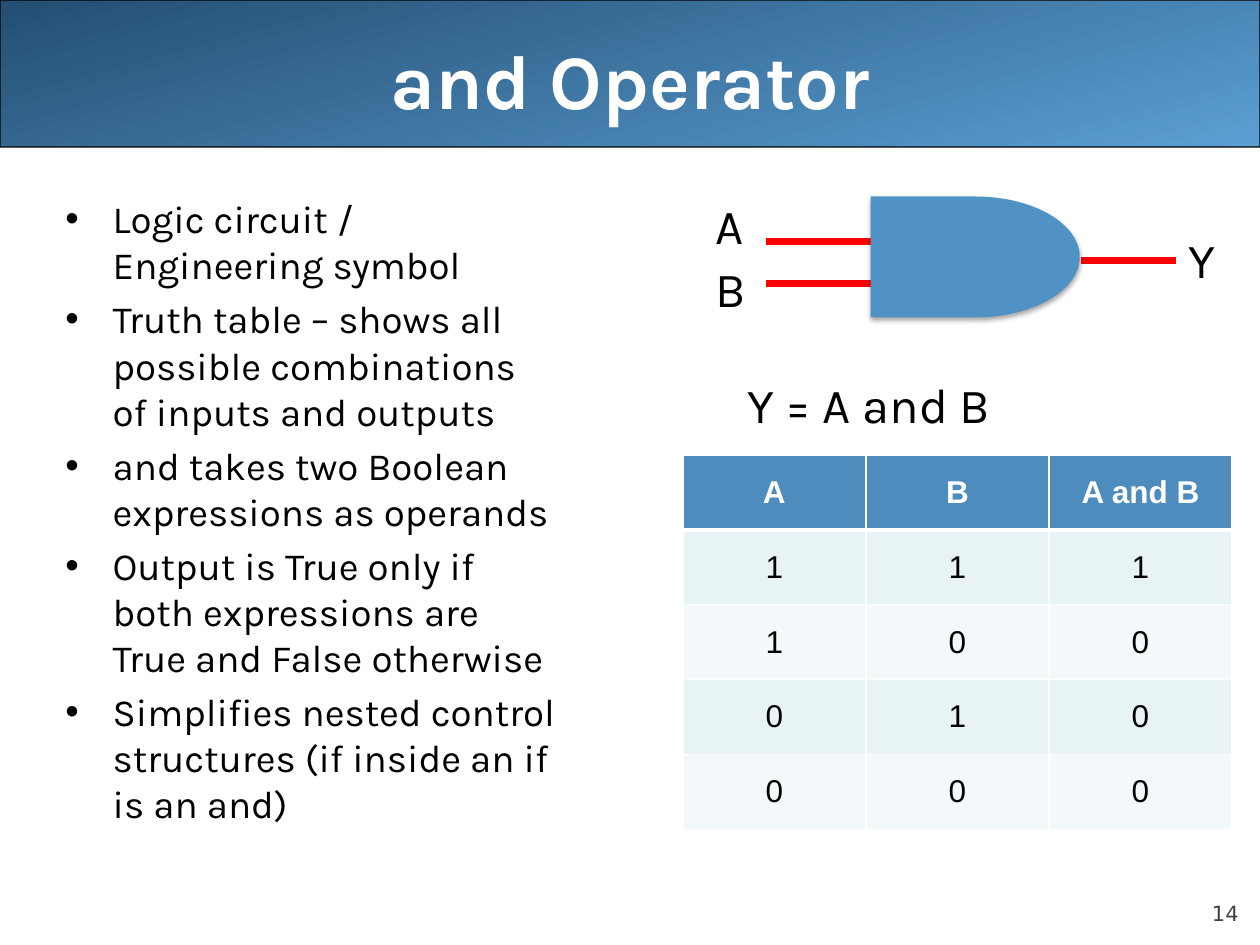
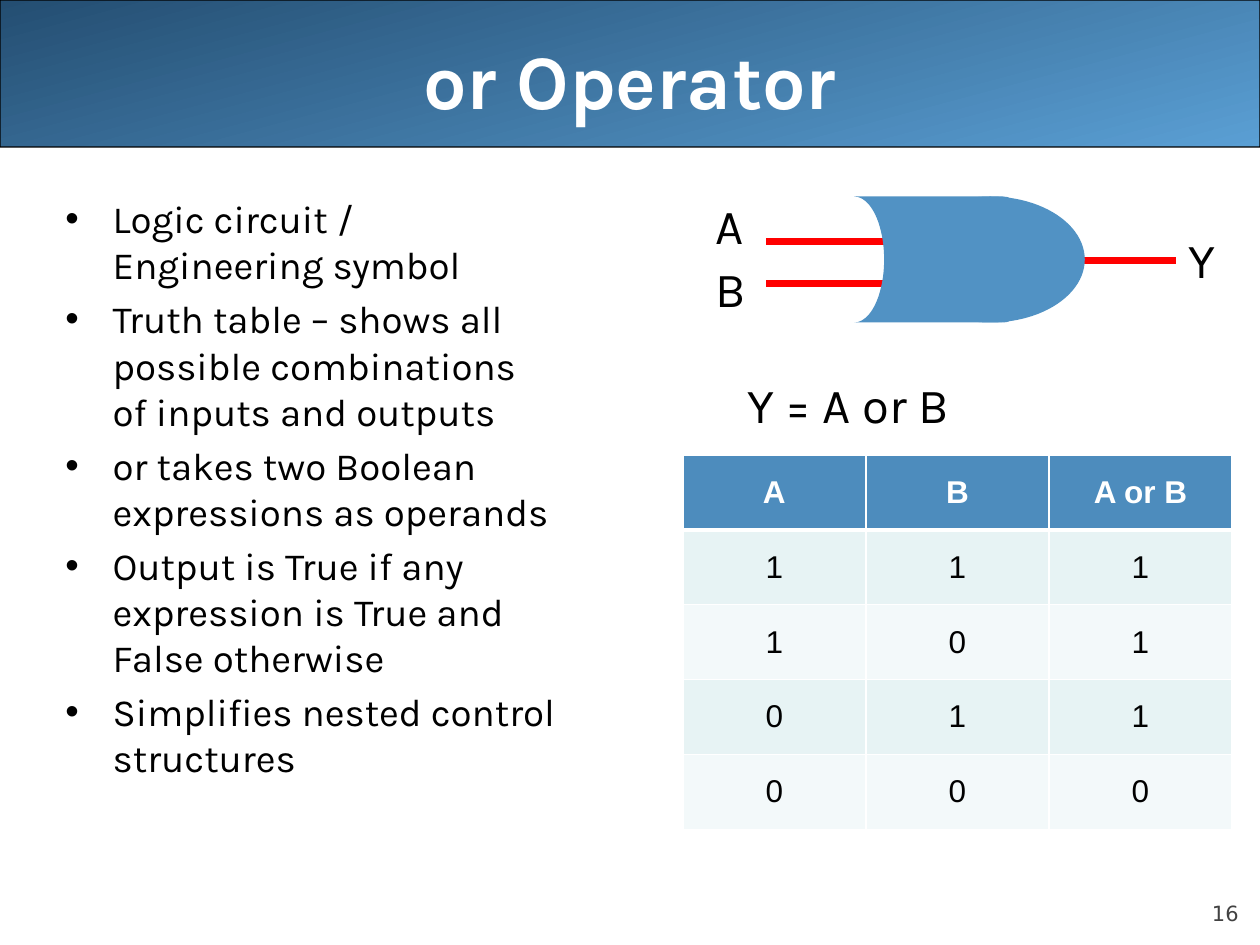
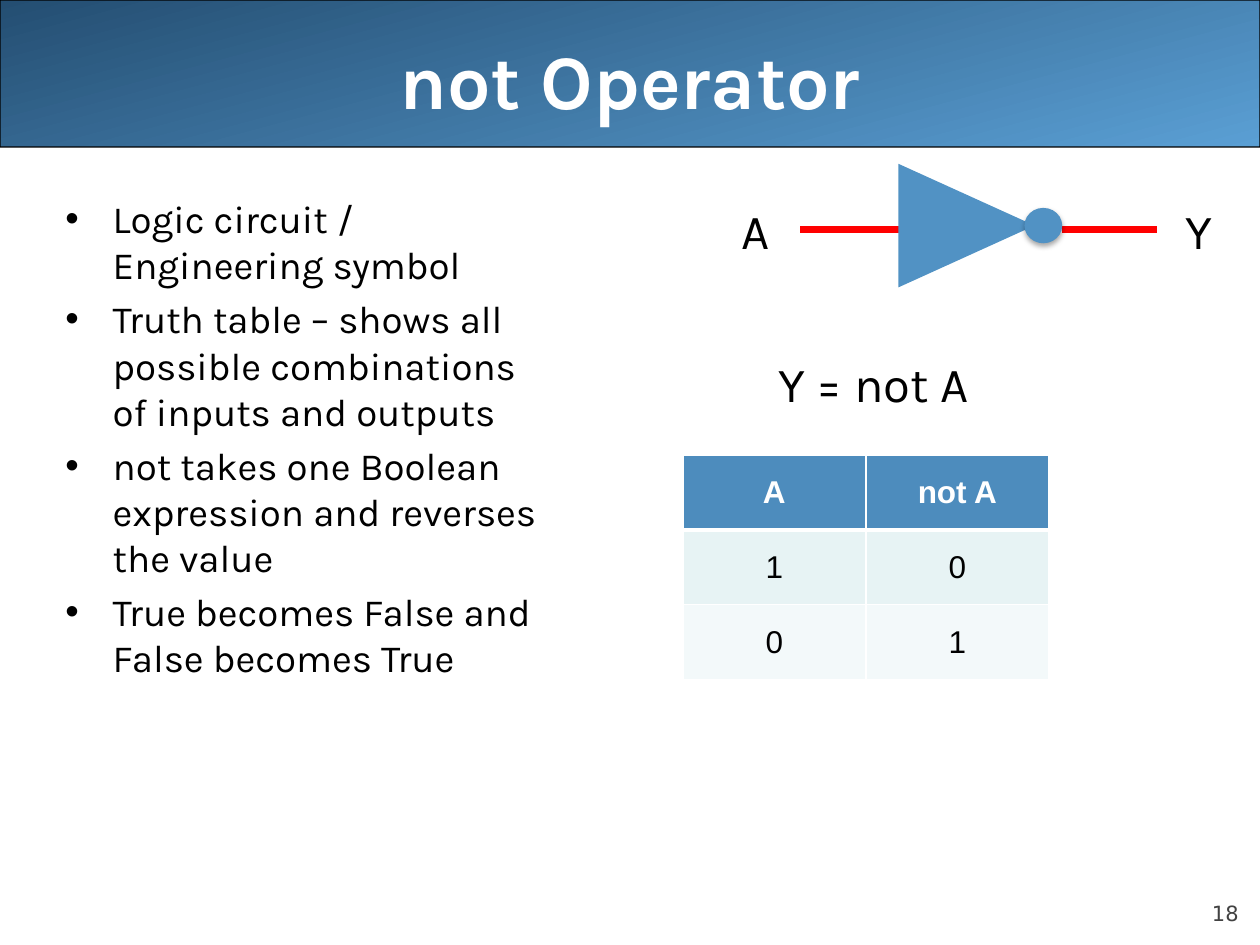
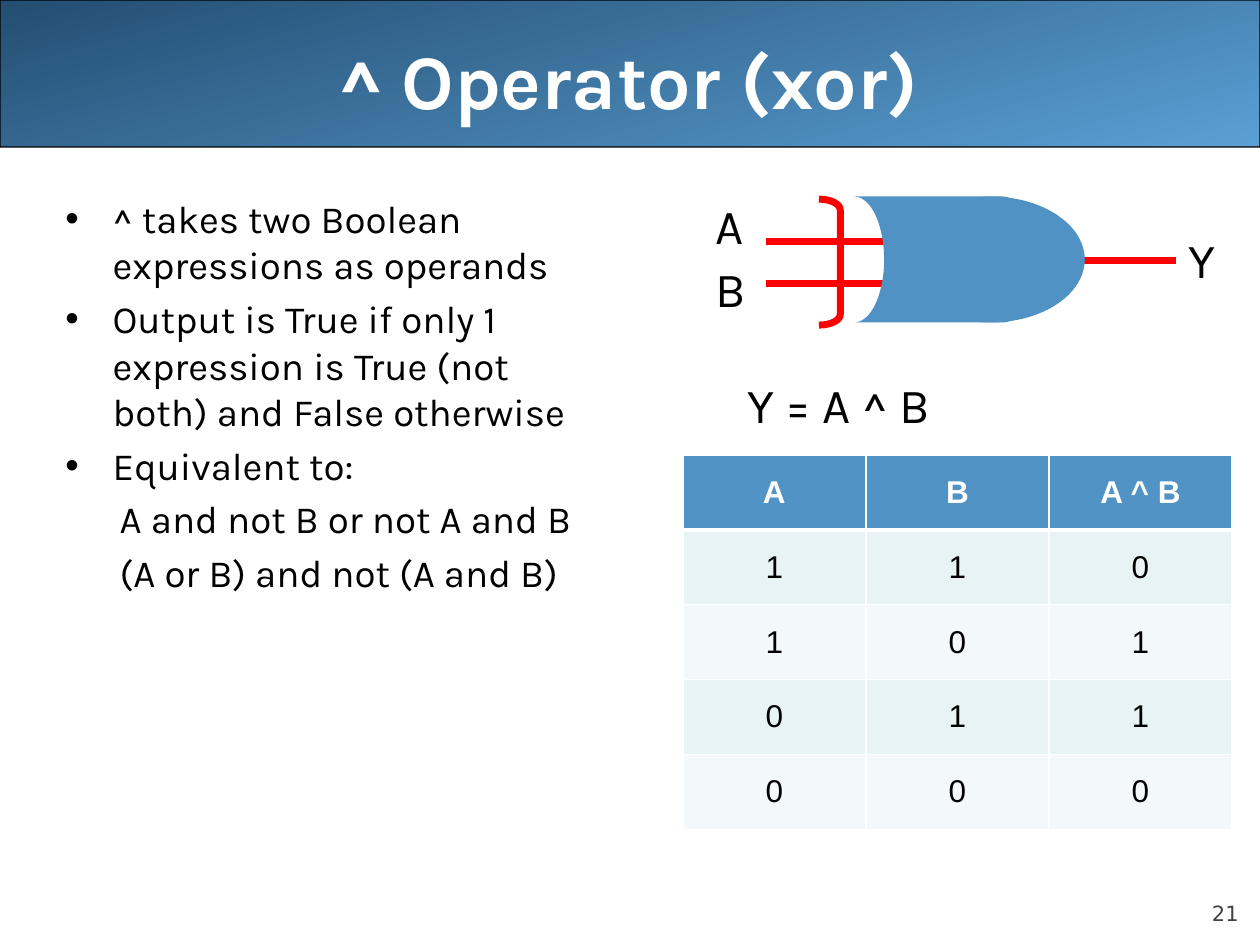
from dataclasses import dataclass

from lxml import etree
from pptx import Presentation
from pptx import util as u
from pptx.dml.color import RGBColor
from pptx.enum import shapes, text
from pptx.oxml import ns

Pt = u.Pt
SHAPE = shapes.MSO_SHAPE
ALIGN = text.PP_ALIGN
ANCHOR = text.MSO_ANCHOR


@dataclass(frozen=True)
class Theme:
    black: str = "000000"
    white: str = "FFFFFF"
    band_dark: str = "244E72"
    band_light: str = "5A9FD4"
    gate: str = "5192C4"
    wire: str = "FF0000"
    page_grey: str = "424242"
    head: str = "4D8CBD"
    head_bright: str = "5293C6"
    row_fills: tuple = ("E7F3F4", "F3F9FA")
    main_font: str = "Karla"
    table_font: str = "Arial"
    page_font: str = "DejaVu Sans"
    title_size: int = 44
    body_size: int = 22
    label_size: int = 28
    table_size: int = 18
    page_size: int = 12
    wire_width: int = 4


def rgb(code):
    return RGBColor.from_string(code)


def assign(target, values):
    for name, value in values.items():
        setattr(target, name, value)


def box(left, top, width, height):
    return dict(left=Pt(left), top=Pt(top), width=Pt(width), height=Pt(height))


def child(parent, tag, **attributes):
    return etree.SubElement(parent, ns.qn(tag), attributes)


class Deck:
    """Holds the style and the current slide."""

    def __init__(self, theme):
        self.theme = theme
        self.prs = Presentation()
        assign(self.prs, dict(slide_width=Pt(720), slide_height=Pt(540)))
        self.layout = self.prs.slide_layouts[1]
        self.slide = None

    def new_slide(self, title, page):
        first = self.slide is None
        self.slide = self.prs.slides.add_slide(self.layout)
        if first:
            self.band()
        self.title(title)
        self.page_number(page)

    def add_words(self, paragraph, words, size, color, font=None, bold=False):
        run = paragraph.add_run()
        run.text = words
        assign(run.font, dict(name=font or self.theme.main_font, size=Pt(size), bold=bold))
        run.font.color.rgb = rgb(color)

    # Shared parts
    def band(self):
        """Draw the title band once and move it to the layout."""
        band = self.shape(SHAPE.ROUNDED_RECTANGLE, 0, 0, 720, 84)
        band.adjustments[0] = 0.001
        band.fill.gradient()
        band.fill.gradient_angle = 285
        for stop, color in zip(band.fill.gradient_stops,
                               (self.theme.band_dark, self.theme.band_light)):
            stop.color.rgb = rgb(color)
        band.line.color.rgb = rgb(self.theme.black)
        band.line.width = Pt(0.75)
        self.layout.shapes.element.insert(2, band.element)

    def title(self, words):
        title = self.slide.shapes.title
        assign(title, box(36, 0, 648, 90))
        assign(title.text_frame, dict(vertical_anchor=ANCHOR.MIDDLE,
                                      auto_size=text.MSO_AUTO_SIZE.NONE))
        paragraph = title.text_frame.paragraphs[0]
        paragraph.alignment = ALIGN.CENTER
        self.add_words(paragraph, words, self.theme.title_size, self.theme.white, bold=True)

    def page_number(self, page):
        frame = self.slide.shapes.add_textbox(**box(648, 500.4, 59.8, 28.8)).text_frame
        assign(frame, dict(word_wrap=True, vertical_anchor=ANCHOR.BOTTOM, margin_left=0,
                           margin_top=0, margin_right=0, margin_bottom=0))
        paragraph = frame.paragraphs[0]
        assign(paragraph, dict(alignment=ALIGN.RIGHT, space_before=Pt(5)))
        self.add_words(paragraph, str(page), self.theme.page_size, self.theme.page_grey,
                       self.theme.page_font)

    # Text
    def body(self, bullets, formulas=(), width=295.2):
        """Bulleted points, then indented lines without a bullet."""
        body = self.slide.placeholders[1]
        assign(body, box(30.2, 108, width, 390.2))
        frame = body.text_frame
        frame.auto_size = text.MSO_AUTO_SIZE.NONE
        for number, words in enumerate((*bullets, *formulas)):
            paragraph = frame.add_paragraph() if number else frame.paragraphs[0]
            self.add_words(paragraph, words, self.theme.body_size, self.theme.black)
            if number >= len(bullets):
                properties = paragraph._p.get_or_add_pPr()
                properties.set("marL", str(Pt(31)))
                properties.set("indent", "0")
                child(properties, "a:buNone")

    def label(self, words, left, top, width=31):
        frame = self.slide.shapes.add_textbox(**box(left, top, width, 41.2)).text_frame
        assign(frame, dict(word_wrap=False, auto_size=text.MSO_AUTO_SIZE.SHAPE_TO_FIT_TEXT))
        self.add_words(frame.paragraphs[0], words, self.theme.label_size, self.theme.black)

    # Gate parts
    def shape(self, kind, left, top, width, height, fill=None, shadow=False):
        shape = self.slide.shapes.add_shape(kind, **box(left, top, width, height))
        shape.shadow.inherit = False
        shape.line.fill.background()
        if fill:
            shape.fill.solid()
            shape.fill.fore_color.rgb = rgb(fill)
        else:
            shape.fill.background()
        if shadow:
            effects = shape.element.spPr.find(ns.qn("a:effectLst"))
            outer = child(effects, "a:outerShdw", blurRad=str(Pt(3.1)), dist=str(Pt(1.8)),
                          dir="5400000", rotWithShape="0")
            color = child(outer, "a:srgbClr", val=self.theme.black)
            child(color, "a:alpha", val="35000")
        return shape

    def wire(self, start, end, y):
        wire = self.slide.shapes.add_connector(
            shapes.MSO_CONNECTOR.STRAIGHT, Pt(start), Pt(y), Pt(end), Pt(y))
        self.wire_line(wire)
        child(wire.element.spPr, "a:effectLst")

    def wire_line(self, part):
        part.line.color.rgb = rgb(self.theme.wire)
        part.line.width = Pt(self.theme.wire_width)

    def and_gate(self):
        self.shape(SHAPE.FLOWCHART_DELAY, 497.5, 112.3, 119.5, 69.1, self.theme.gate, True)

    def or_gate(self):
        back = self.shape(SHAPE.FLOWCHART_STORED_DATA, 488.2, 112.3, 102.2, 72, self.theme.gate)
        back.element.spPr.find(ns.qn("a:xfrm")).set("flipH", "1")
        self.shape(SHAPE.OVAL, 511.9, 112.3, 108, 72, self.theme.gate)

    def xor_gate(self):
        self.or_gate()
        bracket = self.shape(SHAPE.RIGHT_BRACKET, 468, 113.8, 12.2, 72)
        bracket.adjustments[0] = 0.5
        self.wire_line(bracket)

    def not_gate(self):
        triangle = self.shape(SHAPE.ISOSCELES_TRIANGLE, 517, 90, 70.6, 77.8, self.theme.gate)
        triangle.rotation = 90
        self.shape(SHAPE.OVAL, 585.4, 118.8, 21.6, 20.2, self.theme.gate, True)

    # Wires and labels of a gate with two inputs
    def two_inputs(self, equation, equation_width, input_end, output_start):
        for y in (138.2, 162):
            self.wire(input_end, 437.8, y)
        self.wire(output_start, 671.8, 149)
        self.label("A", 401.8, 108)
        self.label("B", 401.8, 144)
        self.label("Y", 671.8, 127.4)
        self.label(equation, 419.8, 210.2, equation_width)

    # Truth table
    def truth_table(self, heads, rows, head_fill=None):
        grid = [heads, *rows]
        column, row = 104.6, 42.8
        table = self.slide.shapes.add_table(
            len(grid), len(heads),
            **box(390.2, 260, column * len(heads), row * len(grid))).table
        for r, values in enumerate(grid):
            for c, value in enumerate(values):
                cell = table.cell(r, c)
                cell.vertical_anchor = ANCHOR.MIDDLE
                paragraph = cell.text_frame.paragraphs[0]
                paragraph.alignment = ALIGN.CENTER
                self.add_words(paragraph, str(value), self.theme.table_size,
                               self.theme.black if r else self.theme.white,
                               self.theme.table_font, bold=r == 0)
                self.borders(cell, top=3 if r == 1 else 1, bottom=1 if r else 3)
                cell.fill.solid()
                cell.fill.fore_color.rgb = rgb(
                    self.theme.row_fills[(r - 1) % 2] if r else head_fill or self.theme.head)

    def borders(self, cell, top, bottom):
        properties = cell._tc.get_or_add_tcPr()
        for side, width in dict(L=1, R=1, T=top, B=bottom).items():
            line = child(properties, f"a:ln{side}", w=str(Pt(width)))
            child(child(line, "a:solidFill"), "a:srgbClr", val=self.theme.white)


COMMON_POINTS = (
    "Logic circuit / Engineering symbol",
    "Truth table – shows all possible combinations of inputs and outputs",
)
INPUT_PAIRS = ((1, 1), (1, 0), (0, 1), (0, 0))


def with_outputs(outputs):
    return [(*pair, output) for pair, output in zip(INPUT_PAIRS, outputs)]


def main():
    deck = Deck(Theme())

    # and
    deck.new_slide("and Operator", 14)
    deck.body((*COMMON_POINTS,
               "and takes two Boolean expressions as operands",
               "Output is True only if both expressions are True and False otherwise",
               "Simplifies nested control structures (if inside an if is an and)"))
    deck.two_inputs("Y = A and B", 166.3, 497.5, 617.8)
    deck.truth_table(("A", "B", "A and B"), with_outputs((1, 0, 0, 0)))
    deck.and_gate()

    # or
    deck.new_slide("or Operator", 16)
    deck.body((*COMMON_POINTS,
               "or takes two Boolean expressions as operands",
               "Output is True if any expression is True and False otherwise",
               "Simplifies nested control structures"))
    deck.two_inputs("Y = A or B", 146.2, 517.3, 602.6)
    deck.truth_table(("A", "B", "A or B"), with_outputs((1, 1, 1, 0)))
    deck.or_gate()

    # not
    deck.new_slide("not Operator", 18)
    deck.body((*COMMON_POINTS,
               "not takes one Boolean expression and reverses the value",
               "True becomes False and False becomes True"))
    deck.truth_table(("A", "not A"), ((1, 0), (0, 1)))
    deck.wire(607, 661, 131)
    deck.wire(517, 457.2, 131)
    deck.label("A", 416.9, 110.9)
    deck.label("Y", 670.3, 110.9)
    deck.label("Y = not A", 437.8, 198.7, 144)
    deck.not_gate()

    # xor
    deck.new_slide("^ Operator (xor)", 21)
    deck.body(("^ takes two Boolean expressions as operands",
               "Output is True if only 1 expression is True (not both) and False otherwise",
               "Equivalent to:"),
              formulas=("A and not B or not A and B", "(A or B) and not (A and B)"),
              width=320.4)
    deck.two_inputs("Y = A ^ B", 141.1, 517.3, 602.6)
    deck.truth_table(("A", "B", "A ^ B"), with_outputs((0, 1, 1, 0)), deck.theme.head_bright)
    deck.xor_gate()

    deck.prs.save("out.pptx")


if __name__ == "__main__":
    main()
